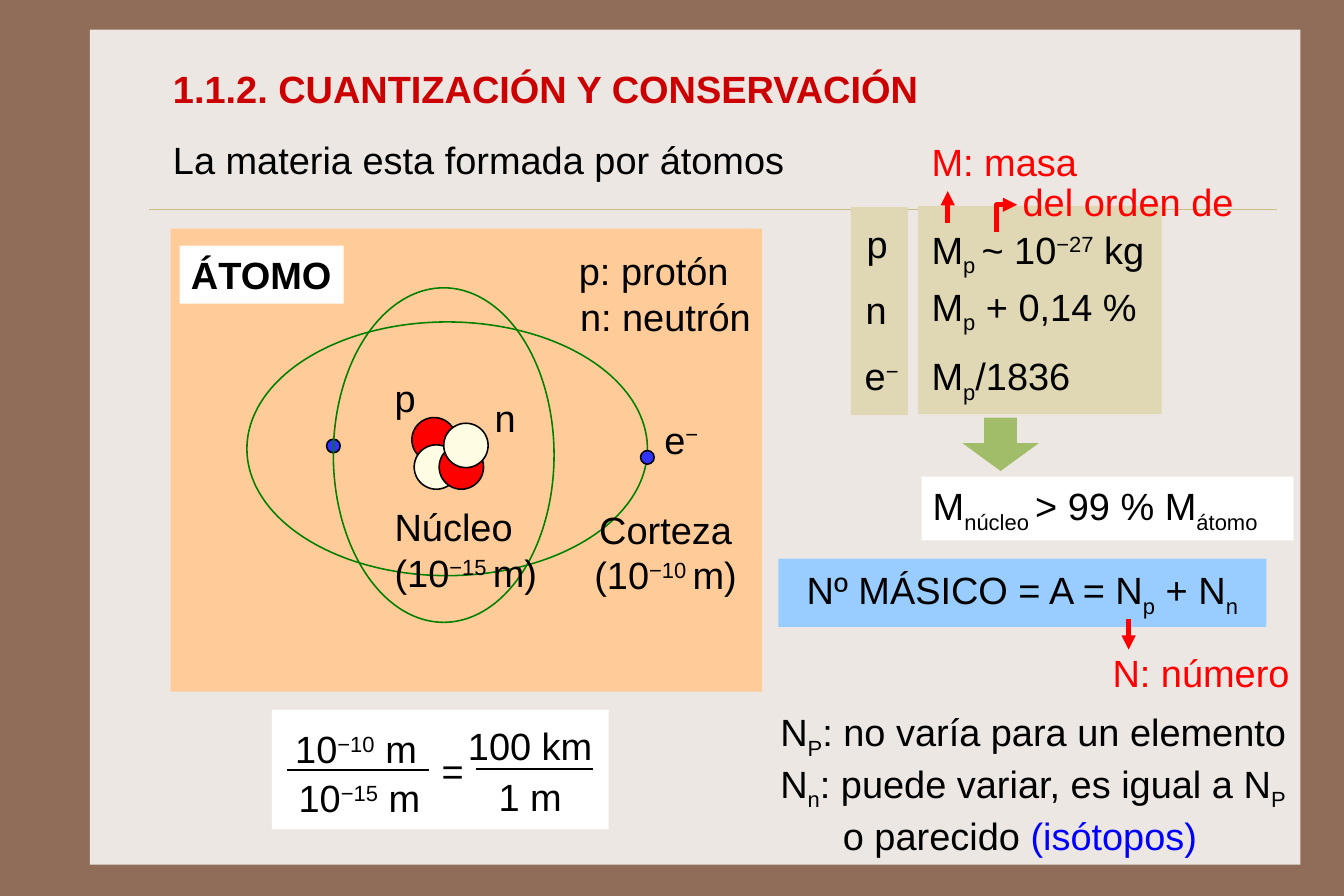
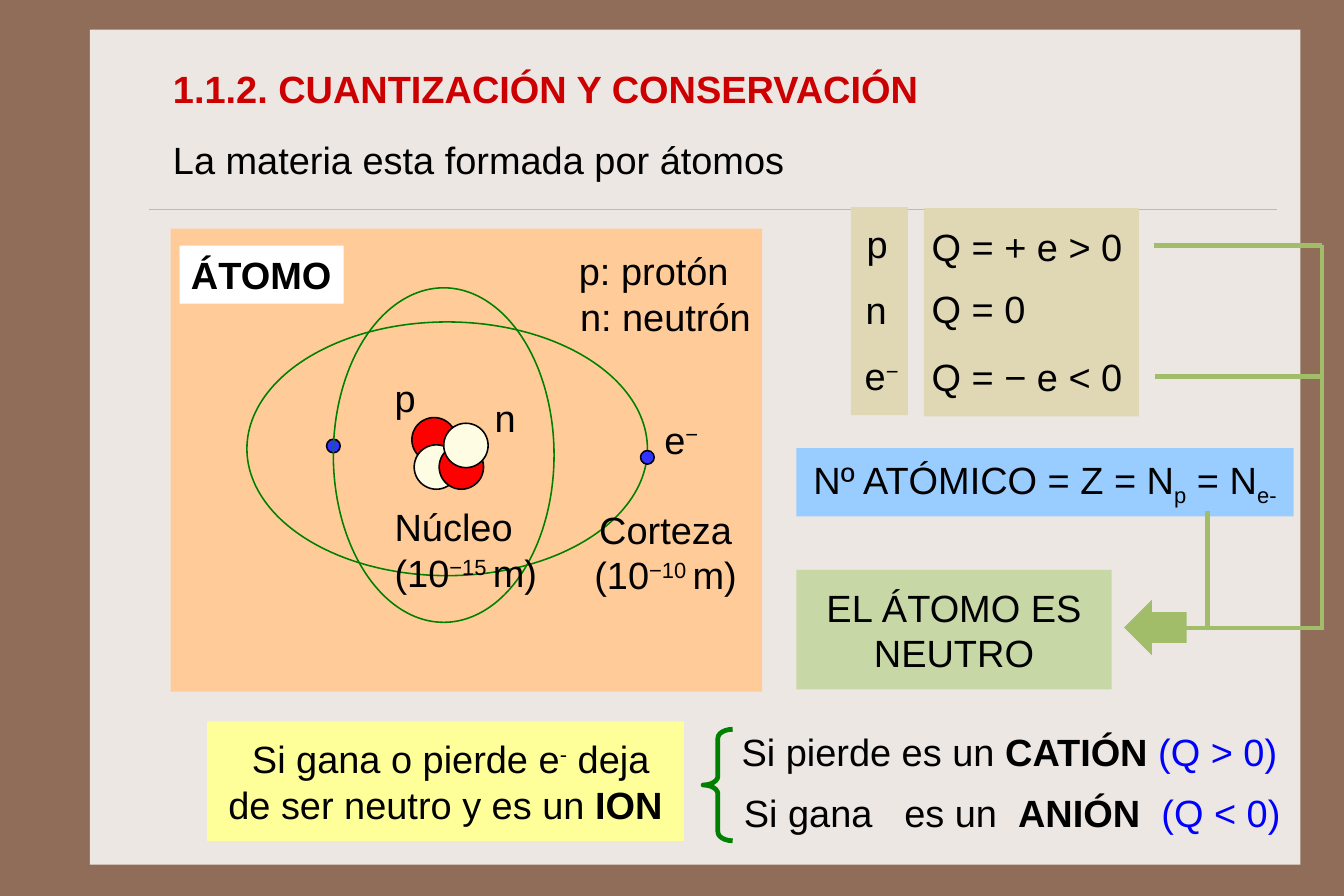
from dataclasses import dataclass

from lxml.etree import SubElement
from pptx import Presentation
from pptx.dml.color import RGBColor
from pptx.enum.shapes import MSO_CONNECTOR, MSO_SHAPE
from pptx.enum.text import MSO_ANCHOR, MSO_AUTO_SIZE, PP_ALIGN
from pptx.oxml.ns import qn
from pptx.util import Inches, Pt


@dataclass(frozen=True)
class Theme:
    font: str = "Arial"
    size: int = 24
    frame: str = "906D58"
    panel: str = "EDE7E3"
    rule: str = "CBBD83"
    title: str = "CC0000"
    ink: str = "000000"
    white: str = "FFFFFF"
    red: str = "FF0000"
    blue: str = "0000FF"
    sand: str = "E0D7B5"
    peach: str = "FFCC99"
    sky: str = "99CCFF"
    lemon: str = "FFFF99"
    leaf: str = "A1BD69"
    pale_leaf: str = "C7D7A5"
    orbit: str = "008000"
    neutron: str = "FEFDE3"
    electron: str = "3333FF"


THEME = Theme()
CELL = Inches(0.1)  # the grid has about 118 columns and 79 rows
LEFT, CENTER = PP_ALIGN.LEFT, PP_ALIGN.CENTER
BASELINES = {"_": "-25000", "^": "30000"}


def write(box, text, color=THEME.ink, align=LEFT):
    """Spans are parted by |; a first _ ^ * @ means sub, super, bold, blue."""
    frame = box.text_frame
    frame.word_wrap = True
    frame.auto_size = MSO_AUTO_SIZE.NONE
    frame.margin_left = CELL
    frame.margin_right = CELL if align == CENTER else 0
    frame.margin_top = frame.margin_bottom = CELL // 2
    for number, line in enumerate(text.split("\n")):
        para = frame.add_paragraph() if number else frame.paragraphs[0]
        para.alignment = align
        para.space_before = Pt(0)
        for piece in line.split("|"):
            mark = piece[0] if piece[0] in "_^*@" else ""
            span = para.add_run()
            span.text = piece[len(mark):]
            span.font.name, span.font.size = THEME.font, Pt(THEME.size)
            span.font.bold = mark == "*"
            span.font.color.rgb = RGBColor.from_string(THEME.blue if mark == "@" else color)
            if mark in BASELINES:
                span._r.get_or_add_rPr().set("baseline", BASELINES[mark])


def draw(page, kind, cells, fill=None, line=None, weight=1, text=None,
         color=THEME.ink, align=LEFT):
    """Draw a preset shape, or a text box when kind is None, placed in grid cells."""
    area = [int(cell * CELL) for cell in cells]
    if kind is None:
        shape = page.shapes.add_textbox(*area)
    else:
        shape = page.shapes.add_shape(kind, *area)
        shape.shadow.inherit = False
        shape.text_frame.vertical_anchor = MSO_ANCHOR.MIDDLE
    if fill:
        shape.fill.solid()
        shape.fill.fore_color.rgb = RGBColor.from_string(fill)
    else:
        shape.fill.background()
    if line:
        shape.line.color.rgb = RGBColor.from_string(line)
        shape.line.width = Pt(weight)
    else:
        shape.line.fill.background()
    if text:
        write(shape, text, color, align)
    return shape


RECT, OVAL = MSO_SHAPE.RECTANGLE, MSO_SHAPE.OVAL

deck = Presentation()
deck.slide_width, deck.slide_height = Pt(850.5), Pt(567)
master, layout = deck.slide_master, deck.slide_layouts[1]

# Shared frame and placeholder positions
master.background.fill.solid()
master.background.fill.fore_color.rgb = RGBColor.from_string(THEME.frame)
for holder, cells in zip(layout.placeholders, ((14.2, 5.2, 74.2, 5.1), (14.2, 11.5, 60.2, 5.1))):
    holder.left, holder.top, holder.width, holder.height = [int(cell * CELL) for cell in cells]
mass_page, charge_page = [deck.slides.add_slide(layout) for _ in range(2)]

panel = draw(mass_page, RECT, (7.9, 2.6, 106.4, 73.4), THEME.panel)
master.shapes.element.insert(2, panel.element)

# Parts on both slides: headings, atom and particle column
for page in (mass_page, charge_page):
    title, body = page.placeholders
    write(title, "*1.1.2. CUANTIZACIÓN Y CONSERVACIÓN", THEME.title)
    title.text_frame.vertical_anchor = MSO_ANCHOR.MIDDLE
    write(body, "La materia esta formada por átomos")
    properties = body.text_frame.paragraphs[0]._p.get_or_add_pPr()
    properties.set("marL", "0")
    properties.set("indent", "0")
    SubElement(properties, qn("a:buNone"))

    draw(page, RECT, (15, 20.1, 52, 40.7), THEME.peach)
    draw(page, OVAL, (21.7, 28.3, 35.2, 22.3), line=THEME.orbit)
    for left, top, size, fill in (
        (36.2, 36.7, 3.9, THEME.red), (36.4, 39.1, 3.9, THEME.neutron),
        (38.6, 39.1, 3.9, THEME.red), (39, 37.2, 3.9, THEME.neutron),
        (56.3, 39.6, 1.2, THEME.electron), (28.7, 38.6, 1.2, THEME.electron),
    ):
        draw(page, OVAL, (left, top, size, size), fill, THEME.ink)
    draw(page, OVAL, (29.3, 25.3, 19.4, 29.4), line=THEME.orbit)
    for left, top, width, height, label, align in (
        (57.4, 36.1, 6, 4.3, "e|^−", LEFT),
        (33.7, 32.4, 5, 4.3, "p", LEFT),
        (42.5, 34.2, 5, 4.3, "n", LEFT),
        (49.9, 21.3, 17, 4.3, "p: protón", LEFT),
        (50, 25.3, 17, 4.3, "n: neutrón", LEFT),
        (33.7, 43.8, 16, 9, "Núcleo\n(10|^−15 |m)", LEFT),
        (50.5, 44, 16, 9, "Corteza\n(10|^−10 |m)", CENTER),
    ):
        draw(page, None, (left, top, width, height), text=label, align=align)
    draw(page, RECT, (15.8, 21.6, 14.4, 5.1), THEME.white, text="*ÁTOMO")

    draw(page, RECT, (74.8, 18.2, 5, 18.3), THEME.sand)
    for row, (left, particle) in enumerate(((73.6, "p"), (73.5, "n"), (74, "e|^−"))):
        draw(page, None, (left, 18.9 + 5.8 * row, 7, 4.3), text=particle, align=CENTER)

# Mass and charge of each particle
for page, left, top, width, values in (
    (mass_page, 80.7, 18.1, 21.4,
     ((19.4, "M|_p |~ 10|^−27| kg"), (24.4, "M|_p| + 0,14 %"), (30.5, "M|_p|/1836"))),
    (charge_page, 81.2, 18.3, 18.9,
     ((19.2, "Q = + e > 0"), (24.6, "Q = 0"), (30.6, "Q = − e < 0"))),
):
    draw(page, RECT, (left, top, width, 18.3), THEME.sand)
    for value_top, value in values:
        draw(page, None, (80.9, value_top, 24, 4.3), text=value)

# Mass slide: notes in red
for left, top, width, note in (
    (80.9, 11.7, 18, "M: masa"), (88.9, 15.2, 22, "del orden de"), (96.8, 56.6, 18, "N: número"),
):
    draw(mass_page, None, (left, top, width, 4.8), text=note, color=THEME.red)

# Mass slide: nucleus mass and mass number
down_arrow = draw(mass_page, MSO_SHAPE.DOWN_ARROW, (84.6, 36.7, 6.7, 4.7), THEME.leaf)
down_arrow.adjustments[0], down_arrow.adjustments[1] = 0.43, 0.52
draw(mass_page, RECT, (81, 41.9, 32.7, 5.6), THEME.white,
     text="M|_núcleo |> 99 % M|_átomo")
draw(mass_page, RECT, (68.4, 49.1, 42.9, 6), THEME.sky,
     text="Nº MÁSICO = A = N|_p| + N|_n", align=CENTER)
isotopes = draw(mass_page, None, (67.6, 61.8, 47.2, 13.2),
                text="N|_P|: no varía para un elemento\n"
                     "N|_n|: puede variar, es igual a N|_P\n"
                     "o parecido |@(isótopos)")
isotopes.text_frame.paragraphs[2]._p.get_or_add_pPr().set("marL", str(Inches(0.55)))

# Mass slide: ratio of sizes
draw(mass_page, RECT, (23.9, 62.4, 29.6, 10.5), THEME.white)
for left, top, width, term in (
    (24.3, 63.3, 14, "10|^−10| m"), (24.6, 67.6, 14, "10|^−15| m"),
    (37.3, 65.2, 5, "="),
    (39.6, 63, 14, "100 km"), (39.6, 67.5, 14, "1 m"),
):
    draw(mass_page, None, (left, top, width, 5.1), text=term, align=CENTER)

# Charge slide: atomic number and neutral atom
draw(charge_page, RECT, (70, 39.4, 43.7, 6), THEME.sky,
     text="Nº ATÓMICO = Z = N|_p| = N|_e-", align=CENTER)
draw(charge_page, RECT, (70, 50.1, 27.7, 10.5), THEME.pale_leaf,
     text="EL ÁTOMO ES NEUTRO", align=CENTER)
left_arrow = draw(charge_page, MSO_SHAPE.LEFT_ARROW, (98.8, 52.7, 5.5, 4.9), THEME.leaf)
left_arrow.adjustments[0], left_arrow.adjustments[1] = 0.55, 0.5

# Charge slide: ions
draw(charge_page, RECT, (18.2, 63.4, 41.9, 10.5), THEME.lemon,
     text=" Si gana o pierde e|^-| deja de ser neutro y es un |*ION", align=CENTER)
brace = draw(charge_page, MSO_SHAPE.LEFT_BRACE, (61.8, 64.1, 2.6, 9.8),
             line=THEME.orbit, weight=3)
brace.adjustments[0] = 0.3
draw(charge_page, None, (64.2, 63.5, 50, 5.1), text="Si pierde es un |*CATIÓN |@(Q > 0)")
anion = draw(charge_page, None, (64.4, 68.9, 50, 5.1),
             text="Si gana\tes un\t|*ANIÓN|\t|@(Q < 0)")
tabs = SubElement(anion.text_frame.paragraphs[0]._p.get_or_add_pPr(), qn("a:tabLst"))
for stop in (1.41, 2.41, 3.67):
    SubElement(tabs, qn("a:tab"), pos=str(Inches(stop)), algn="l")

# Straight lines and arrows; the rule under the headings goes to the master
arrows = []
for page, ends, color, weight, has_head in (
    (mass_page, (13.1, 18.4, 112.2, 18.4), THEME.rule, 0.25, False),
    (mass_page, (25.2, 67.7, 37.7, 67.7), THEME.ink, 1, False),
    (mass_page, (41.8, 67.6, 52.1, 67.6), THEME.ink, 1, False),
    (mass_page, (99.2, 54.4, 99.2, 57.1), THEME.red, 3, True),
    (mass_page, (83.3, 19.6, 83.3, 16.8), THEME.red, 3, True),
    (charge_page, (116.2, 21.5, 116.2, 55.4), THEME.leaf, 3, False),
    (charge_page, (101.4, 21.6, 116.2, 21.6), THEME.leaf, 3, False),
    (charge_page, (101.5, 33.1, 116.3, 33.1), THEME.leaf, 3, False),
    (charge_page, (101.4, 55.2, 116.2, 55.2), THEME.leaf, 3, False),
    (charge_page, (106.1, 44.9, 106.1, 55), THEME.leaf, 3, False),
):
    connector = page.shapes.add_connector(
        MSO_CONNECTOR.STRAIGHT, *[int(end * CELL) for end in ends])
    connector.line.color.rgb = RGBColor.from_string(color)
    connector.line.width = Pt(weight)
    SubElement(connector.element.spPr, qn("a:effectLst"))
    if has_head:
        arrows.append(connector)
    if color == THEME.rule:
        master.shapes.element.insert(3, connector.element)

# Bent arrow to "del orden de", in hundredths of an inch
builder = mass_page.shapes.build_freeform(876, 204, scale=Inches(0.01))
builder.add_line_segments(((876, 180), (894, 180)), close=False)
bent_arrow = builder.convert_to_shape()
bent_arrow.shadow.inherit = False
bent_arrow.fill.background()
bent_arrow.line.color.rgb = RGBColor.from_string(THEME.red)
bent_arrow.line.width = Pt(3)
for arrow in [*arrows, bent_arrow]:
    SubElement(arrow.line._get_or_add_ln(), qn("a:tailEnd"), type="triangle")

deck.save("out.pptx")
